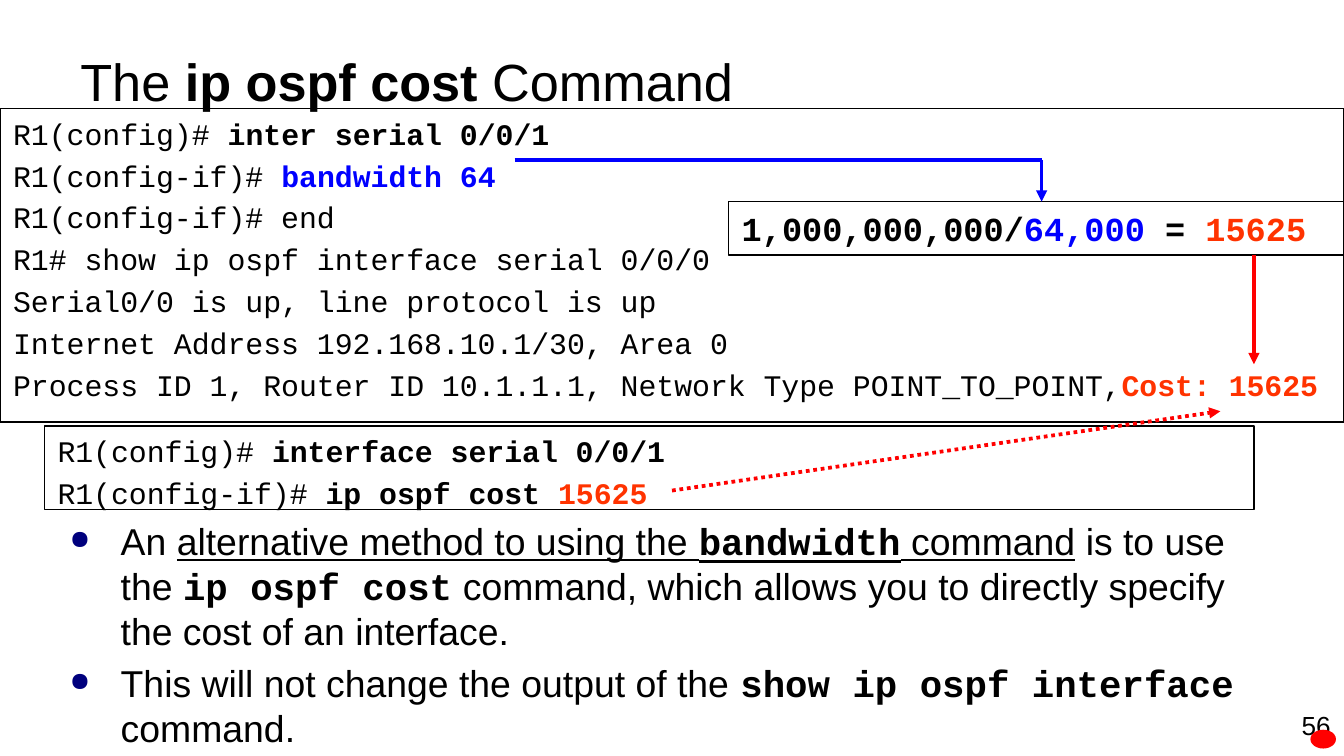
"""Build a slide on the ip ospf cost command with router console boxes."""
from dataclasses import dataclass

from lxml import etree
from pptx import Presentation
from pptx import util as u
from pptx.dml.color import RGBColor
from pptx.enum import dml, shapes, text
from pptx.oxml import ns

Inches = u.Inches


@dataclass(frozen=True)
class Theme:
    black: str = "000000"
    blue: str = "0000FF"
    orange: str = "FF3300"
    red: str = "FF0000"
    bullet: str = "00007D"
    sans: str = "Arial"
    mono: str = "Courier New"
    title: int = 28
    body: int = 20
    formula: int = 18
    console: int = 16
    number: int = 14


theme = Theme()


def write(frame, paragraphs, size, before=0, hanging=False, bullet=None):
    """Fill a frame; each run is a text and words that name its style."""
    frame.word_wrap = True
    for index, runs in enumerate(paragraphs):
        para = frame.paragraphs[0] if index == 0 else frame.add_paragraph()
        para.alignment = text.PP_ALIGN.LEFT
        props = para._p.get_or_add_pPr()
        if hanging:
            props.set("marL", str(Inches(0.38)))
            props.set("indent", str(Inches(-0.38)))
        space = etree.SubElement(props, ns.qn("a:spcBef"))
        etree.SubElement(space, ns.qn("a:spcPct"), val=str(before * 1000))
        if bullet:
            tint = etree.SubElement(props, ns.qn("a:buClr"))
            etree.SubElement(tint, ns.qn("a:srgbClr"), val=theme.bullet)
            etree.SubElement(props, ns.qn("a:buSzPct"), val="70000")
            etree.SubElement(props, ns.qn("a:buChar"), char=bullet)
        for words, style in runs:
            styles = style.split()
            span = para.add_run()
            span.text = words
            span.font.size = u.Pt(size)
            span.font.name = theme.mono if "mono" in styles else theme.sans
            span.font.bold = "bold" in styles
            span.font.underline = "under" in styles
            color = next((s for s in styles if s in ("blue", "orange")), "black")
            span.font.color.rgb = RGBColor.from_string(getattr(theme, color))


deck = Presentation()
deck.slide_width = Inches(10)
deck.slide_height = deck.slide_width * 9 // 16
page = deck.slides.add_slide(deck.slide_layouts[6])

number = page.shapes.add_textbox(Inches(7.67), Inches(5.23), Inches(2.33), Inches(0.39))
write(number.text_frame, [[("56", "")]], theme.number)
number.text_frame.paragraphs[0].alignment = text.PP_ALIGN.RIGHT

title = page.shapes.add_textbox(Inches(0.5), Inches(0.38), Inches(9), Inches(0.44))
title.text_frame.vertical_anchor = text.MSO_ANCHOR.MIDDLE
write(title.text_frame, [[("The ", ""), ("ip ospf cost ", "bold"), ("Command", "")]], theme.title)

body = page.shapes.add_textbox(Inches(0.42), Inches(3.81), Inches(9), Inches(1.69))
write(body.text_frame, [
    [("An ", ""), ("alternative method to using the ", "under"),
     ("bandwidth", "mono bold under"), (" ", "bold under"), ("command", "under"),
     (" is to use the ", ""), ("ip ospf cost", "mono bold"), (" ", "bold"),
     ("command, which allows you to directly specify the cost of an interface.", "")],
    [("This will not change the output of the ", ""),
     ("show ip ospf interface ", "mono bold"), ("command.", "")],
], theme.body, before=20, hanging=True, bullet="●")

cost_lines = [
    [("R1(config)# ", "mono"), ("interface serial 0/0/1", "mono bold")],
    [("R1(config-if)# ", "mono"), ("ip ospf cost ", "mono bold"), ("15625", "mono bold orange")],
]
bandwidth_lines = [
    [("R1(config)# ", "mono"), ("inter serial 0/0/1", "mono bold")],
    [("R1(config-if)# ", "mono"), ("bandwidth 64", "mono bold blue")],
    [("R1(config-if)# end", "mono")],
    [("R1# show ip ospf interface serial 0/0/0", "mono")],
    [("Serial0/0 is up, line protocol is up", "mono")],
    [("Internet Address 192.168.10.1/30, Area 0", "mono")],
    [("Process ID 1, Router ID 10.1.1.1, Network Type POINT_TO_POINT,", "mono"),
     ("Cost: 15625", "mono bold orange")],
]
formula = [[("1,000,000,000/", "mono bold"), ("64,000", "mono bold blue"),
            (" = ", "mono bold"), ("15625", "mono bold orange")]]

for left, top, width, height, weight, lines, size, before, hanging in (
    (0.33, 3.17, 9, 0.62, 0.75, cost_lines, theme.console, 20, True),
    (0, 0.81, 10, 2.33, 0.75, bandwidth_lines, theme.console, 20, True),
    (5.42, 1.5, 4.58, 0.4, 1, formula, theme.formula, 50, False),
):
    box = page.shapes.add_shape(shapes.MSO_SHAPE.RECTANGLE, Inches(left), Inches(top),
                                Inches(width), Inches(height))
    box.shadow.inherit = False
    box.fill.background()
    box.line.color.rgb = RGBColor.from_string(theme.black)
    box.line.width = u.Pt(weight)
    box.text_frame.vertical_anchor = text.MSO_ANCHOR.TOP
    write(box.text_frame, lines, size, before, hanging)

for x1, y1, x2, y2, color, dotted, arrow in (
    (3.83, 1.19, 7.75, 1.19, theme.blue, False, False),
    (7.75, 1.19, 7.75, 1.5, theme.blue, False, True),
    (9.33, 1.9, 9.33, 2.71, theme.red, False, True),
    (5, 3.65, 9.08, 3.06, theme.red, True, True),
):
    link = page.shapes.add_connector(shapes.MSO_CONNECTOR.STRAIGHT, Inches(x1), Inches(y1),
                                     Inches(x2), Inches(y2))
    link.line.color.rgb = RGBColor.from_string(color)
    link.line.width = u.Pt(2)
    if dotted:
        link.line.dash_style = dml.MSO_LINE.ROUND_DOT
    if arrow:
        etree.SubElement(link.line._get_or_add_ln(), ns.qn("a:tailEnd"), type="triangle")
    etree.SubElement(link._element.spPr, ns.qn("a:effectLst"))

marker = page.shapes.add_shape(shapes.MSO_SHAPE.OVAL, Inches(9.75), Inches(5.43),
                               Inches(0.19), Inches(0.14))
marker.shadow.inherit = False
marker.fill.solid()
marker.fill.fore_color.rgb = RGBColor.from_string(theme.red)
marker.line.fill.background()

deck.save("out.pptx")
